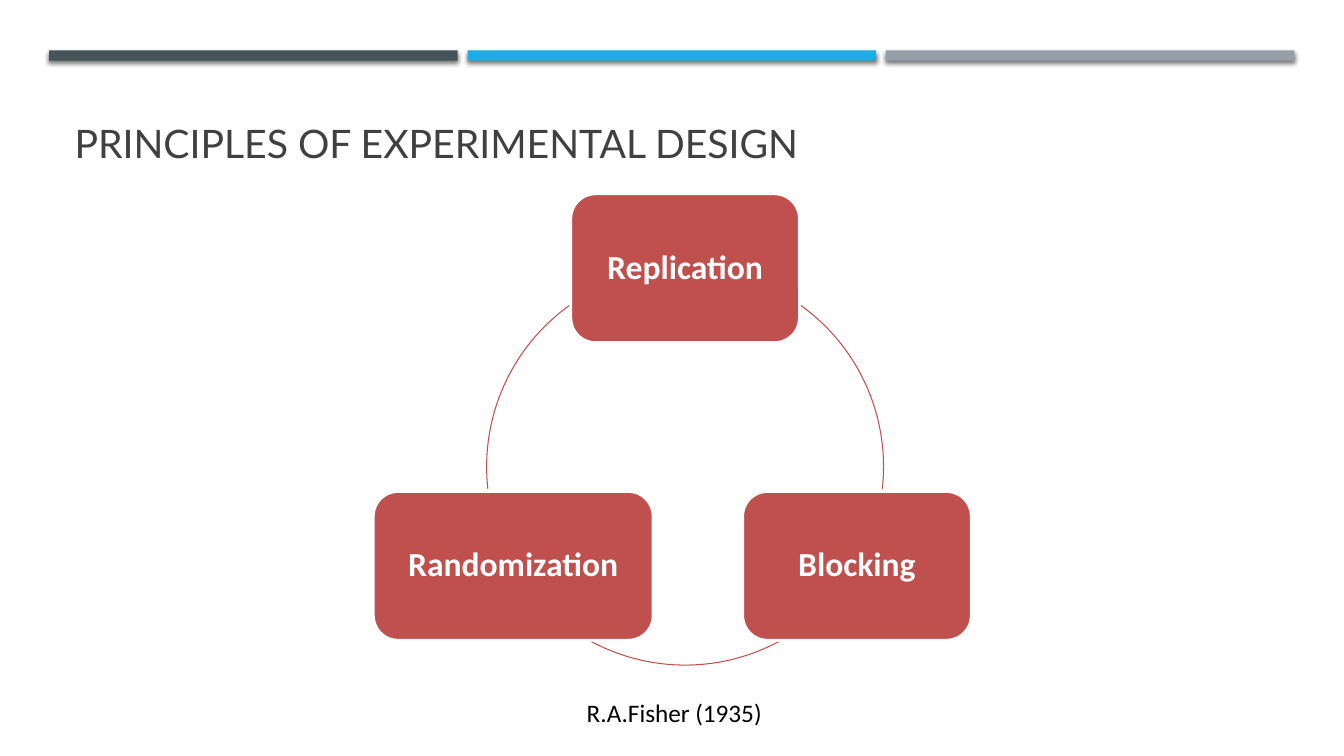
import math
from lxml import etree
from pptx import Presentation
from pptx import util as u
from pptx.dml.color import RGBColor
from pptx.enum import shapes, text
from pptx.oxml.ns import qn

# Content
TITLE = "PRINCIPLES OF EXPERIMENTAL DESIGN"
CITATION = "R.A.Fisher (1935)"
PRINCIPLES = [  # label, angle on the ring in degrees, box width in cm
    ("Replication", -90, 5.76),
    ("Blocking", 30, 5.76),
    ("Randomization", 150, 7.05),
]
ARCS = [(305.7, 6.4), (61.7, 118.3), (173.6, 234.3)]  # start, end in degrees

THEME = {
    "bars": ["465359", "1CADE4", "969FA7"],
    "accent": "C0504D", "white": "FFFFFF", "title": "404040", "black": "000000",
    "title_font": "Lato", "body_font": "Calibri",
    "title_size": 28, "box_size": 24, "citation_size": 18,
}

# Layout in cm
BAR_LEFT, BAR_TOP, BAR_WIDTH, BAR_HEIGHT, BAR_PITCH = 1.24, 1.27, 10.29, 0.26, 10.54
CENTRE_X, CENTRE_Y, RADIUS, BOX_HEIGHT = 17.26, 11.76, 5.0, 3.75

deck = Presentation()
deck.slide_width, deck.slide_height = u.Inches(13.33), u.Inches(7.5)
page = deck.slides.add_slide(deck.slide_layouts[6])


def colour(name):
    return RGBColor.from_string(THEME.get(name, name))


def add_shape(kind, left, top, width, height, fill=None, line=None, weight=0):
    shape = page.shapes.add_shape(kind, *map(u.Cm, (left, top, width, height)))
    shape.shadow.inherit = False
    if fill:
        shape.fill.solid()
        shape.fill.fore_color.rgb = colour(fill)
    else:
        shape.fill.background()
    if line:
        shape.line.color.rgb = colour(line)
        shape.line.width = u.Pt(weight)
    else:
        shape.line.fill.background()
    return shape


def add_shadow(shape):
    effects = shape.element.spPr.find(qn("a:effectLst"))
    shadow = etree.SubElement(effects, qn("a:outerShdw"), blurRad=str(u.Pt(3)),
                              dist=str(u.Pt(2)), dir="5400000", rotWithShape="0")
    tint = etree.SubElement(shadow, qn("a:srgbClr"), val=THEME["black"])
    etree.SubElement(tint, qn("a:alpha"), val="55000")


def write(box, words, font, size, ink, align=text.PP_ALIGN.LEFT, bold=False):
    para = box.text_frame.paragraphs[0]
    para.alignment = align
    span = para.add_run()
    span.text = words
    span.font.name, span.font.size, span.font.bold = font, u.Pt(size), bold
    span.font.color.rgb = colour(ink)
    return para


# Bars along the top
for index, fill in enumerate(THEME["bars"]):
    add_shadow(add_shape(shapes.MSO_SHAPE.RECTANGLE, BAR_LEFT + index * BAR_PITCH,
                         BAR_TOP, BAR_WIDTH, BAR_HEIGHT, fill))

# Ring segments
for angles in ARCS:
    arc = add_shape(shapes.MSO_SHAPE.ARC, CENTRE_X - RADIUS, CENTRE_Y - RADIUS,
                    2 * RADIUS, 2 * RADIUS, line="accent", weight=0.75)
    for index, angle in enumerate(angles):
        arc.adjustments[index] = angle * 0.6  # 60000 units a degree, scaled by 100000

# Principles on the ring
for label, angle, width in PRINCIPLES:
    x = CENTRE_X + RADIUS * math.cos(math.radians(angle))
    y = CENTRE_Y + RADIUS * math.sin(math.radians(angle))
    box = add_shape(shapes.MSO_SHAPE.ROUNDED_RECTANGLE, x - width / 2, y - BOX_HEIGHT / 2,
                    width, BOX_HEIGHT, "accent", "white", 2)
    box.text_frame.vertical_anchor = text.MSO_ANCHOR.MIDDLE
    para = write(box, label, THEME["body_font"], THEME["box_size"], "white",
                 text.PP_ALIGN.CENTER, True)
    para.line_spacing = 0.9

# Citation
citation = page.shapes.add_textbox(u.Cm(14.53), u.Cm(17.45), u.Cm(5.94), u.Cm(1.02))
citation.text_frame.word_wrap = False
citation.text_frame.auto_size = text.MSO_AUTO_SIZE.SHAPE_TO_FIT_TEXT
write(citation, CITATION, THEME["body_font"], THEME["citation_size"], "black")

# Title
title = page.shapes.add_textbox(u.Cm(1.63), u.Cm(1.96), u.Cm(30.63), u.Cm(3.3))
title.text_frame.word_wrap = True
title.text_frame.vertical_anchor = text.MSO_ANCHOR.MIDDLE
write(title, TITLE, THEME["title_font"], THEME["title_size"], "title")

deck.save("out.pptx")
